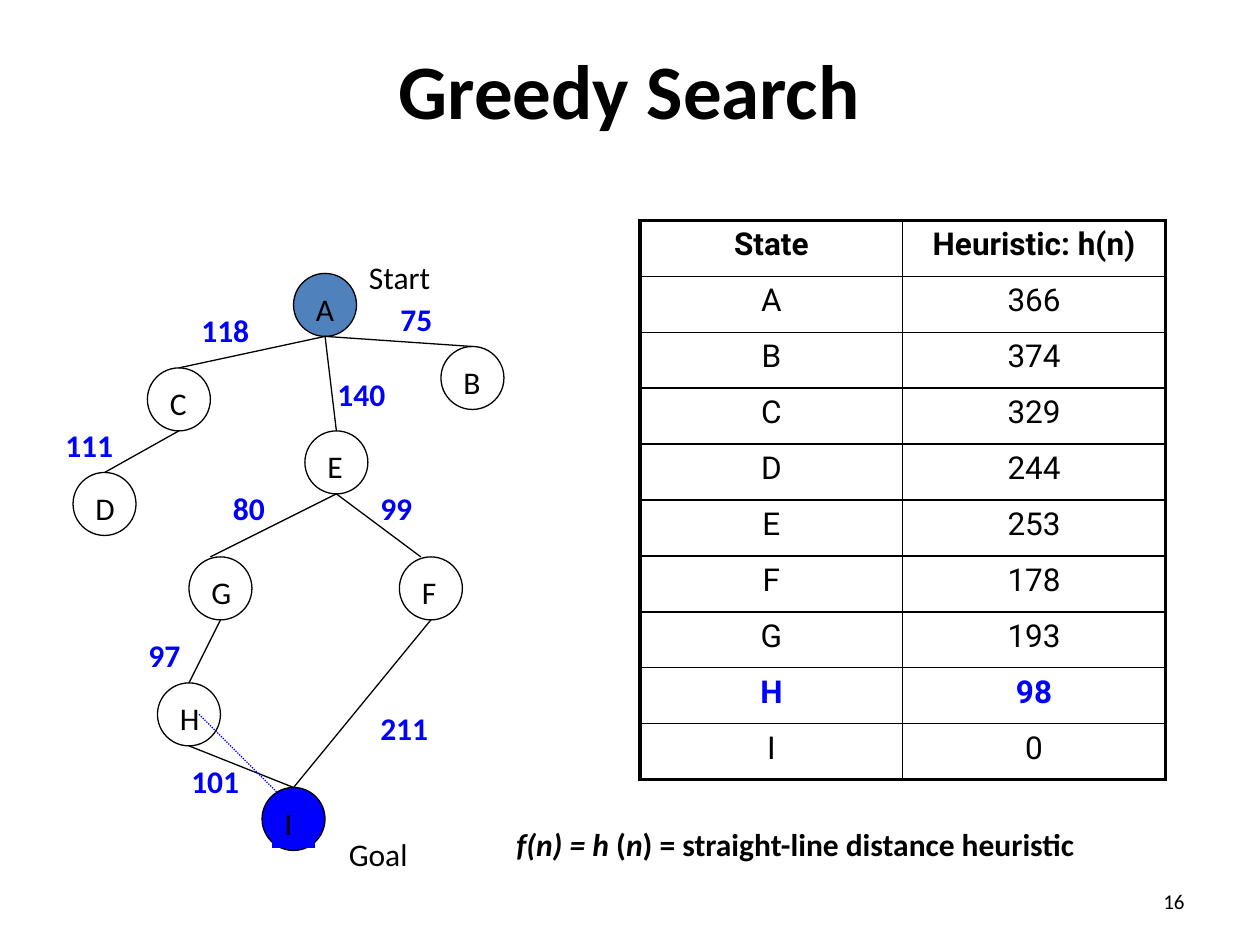
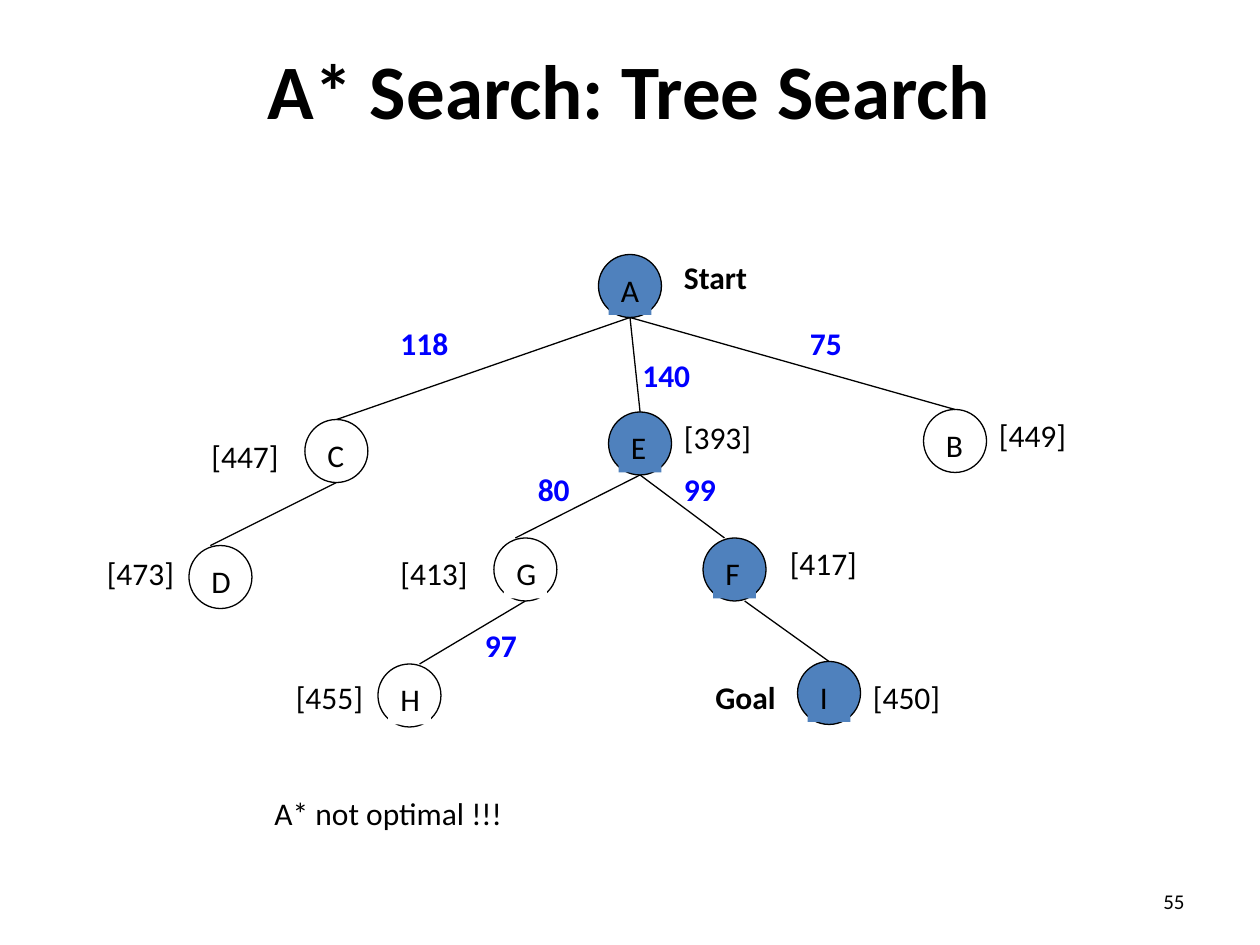
from lxml import etree
from pptx import Presentation
from pptx.dml.color import RGBColor
from pptx.enum import dml, shapes, text
from pptx.oxml import ns
from pptx.util import Inches, Pt

COLORS = {"black": "000000", "blue": "0000FF", "visited": "4F81BD", "white": "FFFFFF"}
FONT, TABLE_FONT = "Calibri", "Roboto"
NODE_SIZE = 0.5
LABEL_INSET = 0.08
LABEL_HEIGHT = 0.4
SHIFT = 0.08
THICK, THIN = 2.25, 1

# Node name: left, top, circle fill, fill behind the letter
GREEDY_NODES = {
    "A": (2.33, 2.17, "visited", None),
    "B": (3.5, 2.75, None, None),
    "C": (1.17, 2.92, None, None),
    "D": (0.58, 3.75, None, None),
    "E": (2.42, 3.42, None, None),
    "F": (3.17, 4.42, None, None),
    "G": (1.5, 4.42, None, None),
    "H": (1.25, 5.42, None, None),
    "I": (2.08, 6.25, "blue", "blue"),
}
A_STAR_NODES = {
    "A": (4.75, 2.02, "visited", "visited"),
    "B": (7.33, 3.25, None, None),
    "C": (2.42, 3.33, None, None),
    "D": (1.5, 4.33, None, None),
    "E": (4.83, 3.27, "visited", "visited"),
    "F": (5.58, 4.27, "visited", "visited"),
    "G": (3.92, 4.27, "white", "white"),
    "H": (3, 5.27, "white", "white"),
    "I": (6.33, 5.25, "visited", "visited"),
}

# Parent and child, horizontal shift at the parent, at the child
GREEDY_EDGES = [
    ("A", "B", 0, 0), ("A", "C", 0, 0), ("A", "E", 0, 0), ("C", "D", 0, 0),
    ("E", "F", 0, -SHIFT), ("E", "G", 0, -SHIFT), ("F", "I", 0, 0),
    ("G", "H", 0, 0), ("H", "I", 0, 0),
]
A_STAR_EDGES = [
    ("A", "B", 0, 0), ("A", "C", 0, 0), ("A", "E", 0, 0), ("C", "D", 0, -SHIFT),
    ("E", "F", 0, -SHIFT), ("E", "G", 0, -SHIFT), ("G", "H", 0, SHIFT),
    ("F", "I", SHIFT, 0),
]

# Text, left, top
GREEDY_COSTS = [
    ("99", 2.92, 3.83), ("211", 2.92, 5.58), ("80", 1.75, 3.83), ("97", 1.08, 5),
    ("101", 1.42, 6), ("75", 3.08, 2.33), ("118", 1.5, 2.42), ("111", 0.42, 3.33),
    ("140", 2.58, 2.93),
]
A_STAR_COSTS = [
    ("99", 5.33, 3.68), ("80", 4.17, 3.68), ("97", 3.75, 4.92), ("75", 6.33, 2.52),
    ("118", 3.08, 2.52), ("140", 5, 2.78),
]
A_STAR_ESTIMATES = [
    ("[393]", 5.33, 3.27), ("[449]", 7.83, 3.25), ("[447]", 1.58, 3.42),
    ("[417]", 6.17, 4.27), ("[413]", 3.08, 4.35), ("[455]", 2.25, 5.33),
    ("[450]", 6.83, 5.33), ("[473]", 0.75, 4.35),
]
HEURISTICS = [
    ("State", "Heuristic: h(n)"), ("A", "366"), ("B", "374"), ("C", "329"),
    ("D", "244"), ("E", "253"), ("F", "178"), ("G", "193"), ("H", "98"), ("I", "0"),
]


def rgb(color):
    return RGBColor.from_string(COLORS[color])


def set_fill(fill, color):
    if color is None:
        fill.background()
    else:
        fill.solid()
        fill.fore_color.rgb = rgb(color)


def write(frame, content, size=18, font=FONT, color="black", bold=False,
          align=text.PP_ALIGN.LEFT):
    """Fill a text frame with a string or a list of (string, italic) runs."""
    runs = [(content, False)] if isinstance(content, str) else content
    paragraph = frame.paragraphs[0]
    paragraph.alignment = align
    for words, italic in runs:
        run = paragraph.add_run()
        run.text = words
        run.font.size = Pt(size)
        run.font.name = font
        run.font.bold = bold
        run.font.italic = italic
        run.font.color.rgb = rgb(color)


def add_text(container, content, left, top, width, height=LABEL_HEIGHT, fill=None,
             anchor=text.MSO_ANCHOR.TOP, **text_format):
    box = container.shapes.add_textbox(Inches(left), Inches(top), Inches(width), Inches(height))
    set_fill(box.fill, fill)
    box.text_frame.word_wrap = True
    box.text_frame.vertical_anchor = anchor
    write(box.text_frame, content, **text_format)


def add_line(slide, start, end, color="black", dotted_arrow=False):
    points = [Inches(value) for value in (*start, *end)]
    connector = slide.shapes.add_connector(shapes.MSO_CONNECTOR.STRAIGHT, *points)
    line = connector.line
    line.width = Pt(0.75)
    line.color.rgb = rgb(color)
    if dotted_arrow:
        line.dash_style = dml.MSO_LINE.ROUND_DOT
        outline = connector._element.spPr.find(ns.qn("a:ln"))
        etree.SubElement(outline, ns.qn("a:tailEnd"), type="triangle")
    etree.SubElement(connector._element.spPr, ns.qn("a:effectLst"))


def add_node(slide, name, left, top, fill, label_fill):
    group = slide.shapes.add_group_shape()
    circle = group.shapes.add_shape(shapes.MSO_SHAPE.OVAL, Inches(left), Inches(top),
                                    Inches(NODE_SIZE), Inches(NODE_SIZE))
    circle.shadow.inherit = False
    set_fill(circle.fill, fill)
    circle.line.color.rgb = rgb("black")
    circle.line.width = Pt(0.75)
    add_text(group, name, left + LABEL_INSET, top + LABEL_INSET,
             NODE_SIZE - 2 * LABEL_INSET, fill=label_fill)


def add_tree(slide, nodes, edges, costs):
    """Draw the nodes, join each parent's foot to its child's top, add path costs."""
    for name, node in nodes.items():
        add_node(slide, name, *node)
    for parent, child, start_shift, end_shift in edges:
        parent_left, parent_top = nodes[parent][:2]
        child_left, child_top = nodes[child][:2]
        add_line(slide,
                 (parent_left + NODE_SIZE / 2 + start_shift, parent_top + NODE_SIZE),
                 (child_left + NODE_SIZE / 2 + end_shift, child_top))
    for cost, left, top in costs:
        add_text(slide, cost, left, top, 0.83, color="blue", bold=True)


def set_borders(cell, widths):
    """Give a cell black borders; widths are points by side: L, R, T, B."""
    properties = cell._tc.get_or_add_tcPr()
    for side, width in widths.items():
        border = etree.SubElement(properties, ns.qn(f"a:ln{side}"), w=str(Pt(width)))
        solid = etree.SubElement(border, ns.qn("a:solidFill"))
        etree.SubElement(solid, ns.qn("a:srgbClr"), val=COLORS["black"])


def add_heuristic_table(slide, rows, highlighted):
    last_row, last_column = len(rows) - 1, len(rows[0]) - 1
    table = slide.shapes.add_table(len(rows), len(rows[0]), Inches(5.08), Inches(1.75),
                                   Inches(4.17), Inches(4.44)).table
    table.first_row = table.horz_banding = False
    for row_index, row in enumerate(rows):
        marked = row[0] == highlighted
        for column_index, value in enumerate(row):
            cell = table.cell(row_index, column_index)
            set_borders(cell, {
                "L": THICK if column_index == 0 else THIN,
                "R": THICK if column_index == last_column else THIN,
                "T": THICK if row_index == 0 else THIN,
                "B": THICK if row_index == last_row else THIN,
            })
            set_fill(cell.fill, None)
            write(cell.text_frame, value, font=TABLE_FONT, bold=marked or row_index == 0,
                  color="blue" if marked else "black", align=text.PP_ALIGN.CENTER)


def add_slide(presentation, title, number):
    slide = presentation.slides.add_slide(presentation.slide_layouts[6])
    add_text(slide, title, 0.08, 0.08, 9.83, 1.25, anchor=text.MSO_ANCHOR.MIDDLE,
             size=44, bold=True, align=text.PP_ALIGN.CENTER)
    add_text(slide, number, 7.17, 6.95, 2.33, anchor=text.MSO_ANCHOR.MIDDLE,
             size=12, align=text.PP_ALIGN.RIGHT)
    return slide


def build_greedy_slide(presentation):
    slide = add_slide(presentation, "Greedy Search", "16")
    add_heuristic_table(slide, HEURISTICS, highlighted="H")
    add_tree(slide, GREEDY_NODES, GREEDY_EDGES, GREEDY_COSTS)
    add_text(slide, "Start", 2.83, 2, 1.33)
    add_text(slide, "Goal", 2.67, 6.58, 1.33)
    formula = [("f(n) = h ", True), ("(", False), ("n", True),
               (") = straight-line distance heuristic", False)]
    add_text(slide, formula, 4, 6.5, 6, bold=True)
    add_line(slide, (1.58, 5.67), (2.33, 6.42), color="blue", dotted_arrow=True)


def build_a_star_slide(presentation):
    slide = add_slide(presentation, "A* Search: Tree Search", "55")
    add_tree(slide, A_STAR_NODES, A_STAR_EDGES, A_STAR_COSTS)
    for estimate, left, top in A_STAR_ESTIMATES:
        add_text(slide, estimate, left, top, 0.83)
    add_text(slide, "Start", 5.33, 2, 1.33, bold=True)
    add_text(slide, "Goal", 5.58, 5.33, 1.33, bold=True)
    add_text(slide, "A* not optimal !!!", 2.08, 6.25, 7, 0.5)


def main():
    presentation = Presentation()
    presentation.slide_width, presentation.slide_height = Inches(10), Inches(7.5)
    build_greedy_slide(presentation)
    build_a_star_slide(presentation)
    presentation.save("out.pptx")


if __name__ == "__main__":
    main()
